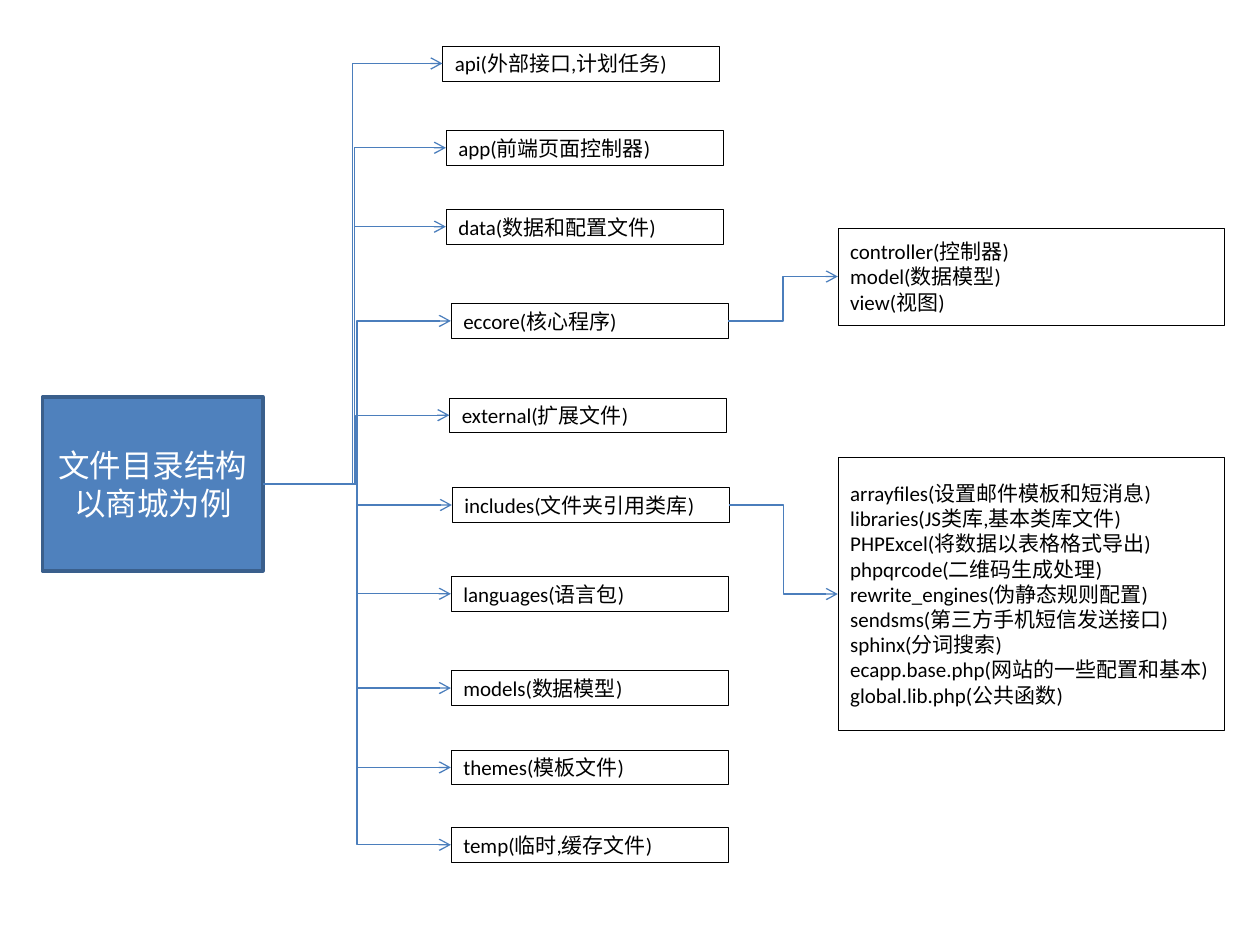
from dataclasses import dataclass

from lxml import etree
from pptx import Presentation
from pptx import util as u
from pptx.dml import color
from pptx.enum import shapes, text
from pptx.oxml import ns


@dataclass(frozen=True)
class Theme:
    """Colours, type sizes and line widths of the slide."""
    font: str = "Calibri"
    blue: str = "4F81BD"
    dark_blue: str = "3A5F8C"
    link: str = "4B7EBC"
    white: str = "FFFFFF"
    black: str = "000000"
    root_size: int = 18
    body_size: int = 12
    root_line: float = 2
    box_line: float = 0.25
    link_line: float = 0.75


THEME = Theme()
ROOT_STYLE = dict(fill=THEME.blue, line=THEME.dark_blue, width=THEME.root_line,
                  ink=THEME.white, size=THEME.root_size, align=text.PP_ALIGN.CENTER)
BOX_STYLE = dict(fill=THEME.white, line=THEME.black, width=THEME.box_line,
                 ink=THEME.black, size=THEME.body_size, align=text.PP_ALIGN.LEFT)

ROOT = ((0.86, 8, 4.44, 3.51), ["文件目录结构", "以商城为例"])
FOLDER_SIZE = (5.59, 0.7)
FOLDERS = [
    (8.92, 0.93, "api(外部接口,计划任务)"),
    (8.99, 2.63, "app(前端页面控制器)"),
    (8.99, 4.22, "data(数据和配置文件)"),
    (9.09, 6.12, "eccore(核心程序)"),
    (9.06, 8.02, "external(扩展文件)"),
    (9.11, 9.83, "includes(文件夹引用类库)"),
    (9.09, 11.62, "languages(语言包)"),
    (9.09, 13.52, "models(数据模型)"),
    (9.09, 15.12, "themes(模板文件)"),
    (9.09, 16.68, "temp(临时,缓存文件)"),
]
DETAIL_LEFT, DETAIL_WIDTH = 16.89, 7.8
DETAILS = {
    "eccore": (4.6, 1.95, ["controller(控制器)", "model(数据模型)", "view(视图)"]),
    "includes": (9.22, 5.51, [
        "arrayfiles(设置邮件模板和短消息)",
        "libraries(JS类库,基本类库文件)",
        "PHPExcel(将数据以表格格式导出)",
        "phpqrcode(二维码生成处理)",
        "rewrite_engines(伪静态规则配置)",
        "sendsms(第三方手机短信发送接口)",
        "sphinx(分词搜索)",
        "ecapp.base.php(网站的一些配置和基本)",
        "global.lib.php(公共函数)",
    ]),
}


def set_attributes(target, values):
    """Set each named attribute of the target."""
    for name, value in values.items():
        setattr(target, name, value)


def rgb(value):
    """Turn a hex string into a colour."""
    return color.RGBColor.from_string(value)


def add_box(slide, bounds, lines, style):
    """Add a rectangle with one paragraph for each line of text."""
    shape = slide.shapes.add_shape(shapes.MSO_SHAPE.RECTANGLE, *map(u.Cm, bounds))
    shape.shadow.inherit = False
    shape.fill.solid()
    shape.fill.fore_color.rgb = rgb(style["fill"])
    shape.line.color.rgb = rgb(style["line"])
    shape.line.width = u.Pt(style["width"])
    frame = shape.text_frame
    set_attributes(frame, dict(word_wrap=True, vertical_anchor=text.MSO_ANCHOR.MIDDLE,
                               text="\n".join(lines)))
    for paragraph in frame.paragraphs:
        paragraph.alignment = style["align"]
        font = paragraph.runs[0].font
        set_attributes(font, dict(name=THEME.font, size=u.Pt(style["size"])))
        font.color.rgb = rgb(style["ink"])
    return shape


def add_link(slide, source, target):
    """Join the right side of one box to the left side of another by an arrow."""
    connector = slide.shapes.add_connector(
        shapes.MSO_CONNECTOR.ELBOW,
        source.left + source.width, source.top + source.height // 2,
        target.left, target.top + target.height // 2)
    connector.begin_connect(source, 3)
    connector.end_connect(target, 1)
    connector.line.color.rgb = rgb(THEME.link)
    connector.line.width = u.Pt(THEME.link_line)
    properties = connector.line._get_or_add_ln()
    etree.SubElement(properties, ns.qn("a:tailEnd"), type="arrow")
    etree.SubElement(properties.getparent(), ns.qn("a:effectLst"))


def main():
    """Build the directory tree slide."""
    presentation = Presentation()
    set_attributes(presentation, dict(slide_width=u.Cm(25.4), slide_height=u.Cm(19.05)))
    slide = presentation.slides.add_slide(presentation.slide_layouts[6])
    root = add_box(slide, *ROOT, ROOT_STYLE)
    for left, top, label in FOLDERS:
        folder = add_box(slide, (left, top, *FOLDER_SIZE), [label], BOX_STYLE)
        add_link(slide, root, folder)
        name = label.split("(")[0]
        if name in DETAILS:
            detail_top, height, lines = DETAILS[name]
            bounds = (DETAIL_LEFT, detail_top, DETAIL_WIDTH, height)
            add_link(slide, folder, add_box(slide, bounds, lines, BOX_STYLE))
    presentation.save("out.pptx")


if __name__ == "__main__":
    main()
